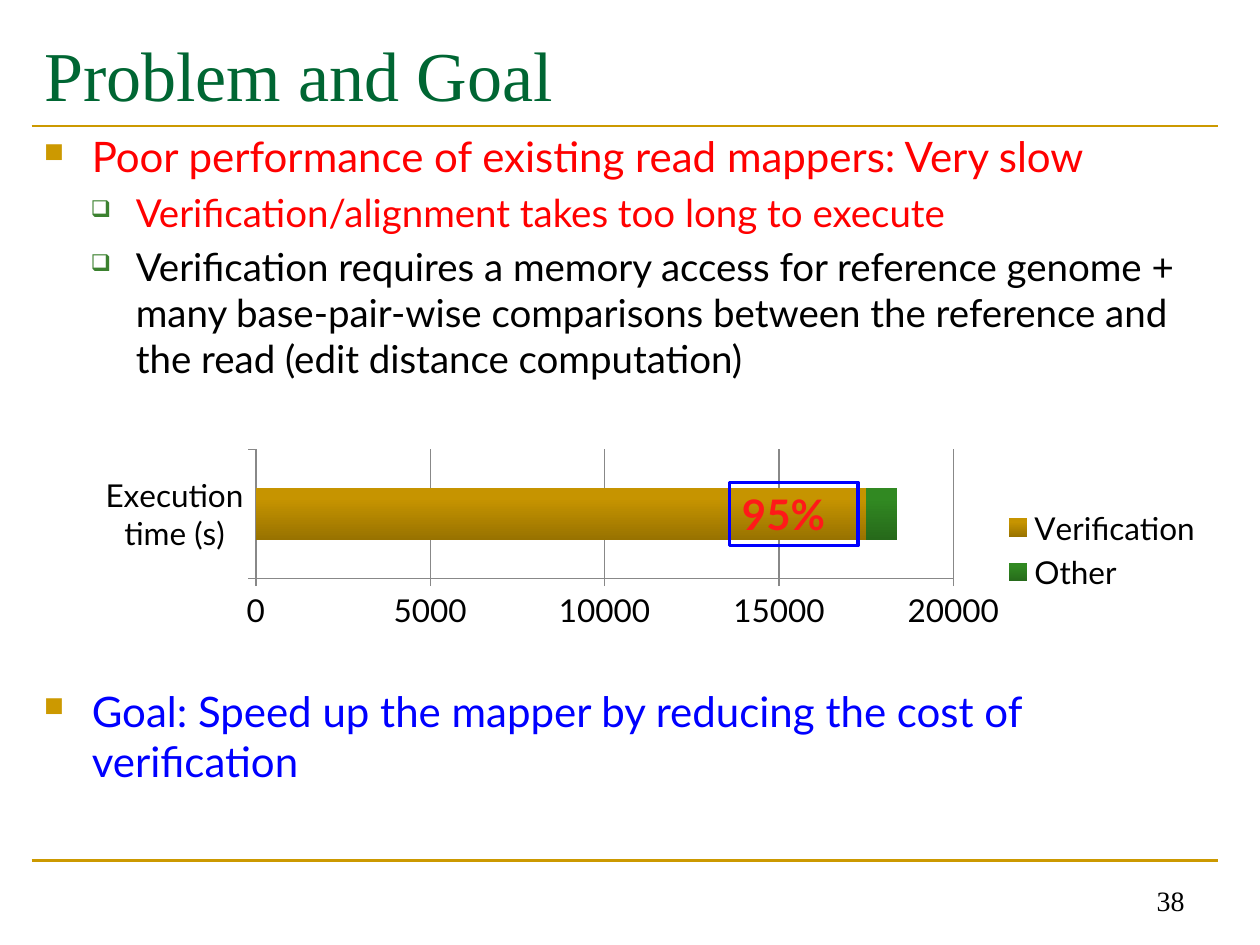
from lxml.etree import SubElement
from pptx import Presentation
from pptx.chart.data import CategoryChartData
from pptx.dml.color import RGBColor
from pptx.enum.chart import XL_CHART_TYPE, XL_LEGEND_POSITION, XL_TICK_MARK
from pptx.enum.shapes import MSO_CONNECTOR, MSO_SHAPE
from pptx.enum.text import MSO_ANCHOR, PP_ALIGN
from pptx.oxml import parse_xml
from pptx.oxml.ns import nsdecls, qn
from pptx.util import Inches, Pt

BODY, SERIF = "Lato", "Times New Roman"
GOLD, GREY, BLUE, RED, BLACK = "CC9900", "888888", "0000FF", "FF0000", "000000"
LEVELS = [
    {"size": 24, "left": 0.38, "hang": 0.38, "mark": "■", "tint": GOLD, "scale": 65},
    {"size": 22, "left": 0.73, "hang": 0.36, "mark": "❑", "tint": "3B812F", "scale": 60},
]
PLOT = {"x": 0.159, "y": 0.033, "w": 0.611, "h": 0.601}
SERIES = [
    ("Verification", 17500, ("987200", "C69400")),
    ("Other", 900, ("26691A", "318922")),
]


def paint(color, code):
    """Set a colour from a hex string."""
    color.rgb = RGBColor.from_string(code)


def style(target, **values):
    """Set each given attribute on the target."""
    for name, value in values.items():
        setattr(target, name, value)


def write(font, size, code, name=BODY, bold=False):
    """Format a font."""
    style(font, size=Pt(size), name=name, bold=bold)
    paint(font.color, code)


def stroke(line, code, width):
    """Format an outline."""
    paint(line.color, code)
    line.width = Pt(width)


def add_rule(slide, left, top, width):
    """Draw a horizontal gold rule."""
    rule = slide.shapes.add_connector(
        MSO_CONNECTOR.STRAIGHT, Inches(left), Inches(top), Inches(left + width), Inches(top))
    stroke(rule.line, GOLD, 1.5)
    SubElement(rule._element.spPr, qn("a:effectLst"))


def add_title(slide, text, box):
    """Place and format the title."""
    title = slide.shapes.title
    style(title, **dict(zip(("left", "top", "width", "height"), map(Inches, box))))
    title.text_frame.text = text
    title.text_frame.vertical_anchor = MSO_ANCHOR.MIDDLE
    para = title.text_frame.paragraphs[0]
    para.alignment = PP_ALIGN.LEFT
    write(para.runs[0].font, 40, "006633", SERIF)


def add_mark(para, level):
    """Give a paragraph its bullet and indent."""
    props = para._p.get_or_add_pPr()
    props.set("marL", str(Inches(level["left"])))
    props.set("indent", str(-Inches(level["hang"])))
    tint = SubElement(props, qn("a:buClr"))
    SubElement(tint, qn("a:srgbClr"), val=level["tint"])
    SubElement(props, qn("a:buSzPct"), val=str(level["scale"] * 1000))
    SubElement(props, qn("a:buChar"), char=level["mark"])


def add_points(slide, points, box):
    """Fill a box with bulleted (level, colour, text) points."""
    frame = slide.shapes.add_textbox(*map(Inches, box)).text_frame
    frame.word_wrap = True
    for index, (depth, code, text) in enumerate(points):
        para = frame.paragraphs[0] if index == 0 else frame.add_paragraph()
        level = LEVELS[depth]
        add_mark(para, level)
        para.level = depth
        if index:
            para.space_before = Pt(level["size"] * 0.2)
        run = para.add_run()
        run.text = text
        write(run.font, level["size"], code)


def set_plot(chart):
    """Fix the inner plot area."""
    parts = "".join(f'<c:{side}Mode val="edge"/>' for side in "xy")
    parts += "".join(f'<c:{key} val="{size}"/>' for key, size in PLOT.items())
    area = chart._chartSpace.chart.plotArea
    for old in area.findall(qn("c:layout")):
        area.remove(old)
    area.insert(0, parse_xml(
        f'<c:layout {nsdecls("c")}><c:manualLayout><c:layoutTarget val="inner"/>'
        f'{parts}</c:manualLayout></c:layout>'))


def add_times(slide, box):
    """Draw the stacked bar of execution time."""
    data = CategoryChartData()
    data.categories = ["Execution time (s)"]
    for name, value, _ in SERIES:
        data.add_series(name, [value])
    chart = slide.shapes.add_chart(
        XL_CHART_TYPE.BAR_STACKED, *map(Inches, box), data).chart
    write(chart.font, 18, BLACK)
    style(chart, has_title=False, has_legend=True)
    style(chart.legend, position=XL_LEGEND_POSITION.RIGHT, include_in_layout=False)
    write(chart.legend.font, 18, BLACK)
    plot = chart.plots[0]
    style(plot, gap_width=150, overlap=100, vary_by_categories=False)
    for series, (_, _, codes) in zip(plot.series, SERIES):
        fill = series.format.fill
        fill.gradient()
        fill.gradient_angle = 90
        for stop, code, place in zip(fill.gradient_stops, codes, (0, 0.8)):
            paint(stop.color, code)
            stop.position = place
    for axis in (chart.category_axis, chart.value_axis):
        style(axis, major_tick_mark=XL_TICK_MARK.OUTSIDE, minor_tick_mark=XL_TICK_MARK.NONE)
        write(axis.tick_labels.font, 18, BLACK)
        stroke(axis.format.line, GREY, 0.75)
    axis = chart.value_axis
    style(axis, minimum_scale=0, maximum_scale=20000, major_unit=5000, has_major_gridlines=True)
    stroke(axis.major_gridlines.format.line, GREY, 0.75)
    set_plot(chart)


def add_share(slide, text, box):
    """Frame the share label over the bar."""
    shape = slide.shapes.add_shape(MSO_SHAPE.RECTANGLE, *map(Inches, box))
    shape.shadow.inherit = False
    shape.fill.background()
    stroke(shape.line, BLUE, 2)
    frame = shape.text_frame
    frame.text = text
    frame.vertical_anchor = MSO_ANCHOR.TOP
    para = frame.paragraphs[0]
    para.alignment = PP_ALIGN.LEFT
    write(para.runs[0].font, 24, "FF1919", bold=True)


def add_number(slide, text, box):
    """Write the slide number."""
    frame = slide.shapes.add_textbox(*map(Inches, box)).text_frame
    style(frame, word_wrap=True, text=text, vertical_anchor=MSO_ANCHOR.BOTTOM)
    para = frame.paragraphs[0]
    para.alignment = PP_ALIGN.RIGHT
    write(para.runs[0].font, 16, BLACK, SERIF)


def main():
    """Build and save the slide."""
    deck = Presentation()
    style(deck, slide_width=Inches(10), slide_height=Inches(7.5))
    slide = deck.slides.add_slide(deck.slide_layouts[5])
    left, width = 0.25, 9.42
    for top in (1, 6.83):
        add_rule(slide, left, top, width)
    add_title(slide, "Problem and Goal", (left, 0.17, width, 0.83))
    add_points(slide, [
        (0, RED, "Poor performance of existing read mappers: Very slow"),
        (1, RED, "Verification/alignment takes too long to execute"),
        (1, BLACK, "Verification requires a memory access for reference genome + many "
                   "base-pair-wise comparisons between the reference and the read "
                   "(edit distance computation)"),
    ], (left, 0.99, width, 2.2))
    add_points(slide, [
        (0, BLUE, "Goal: Speed up the mapper by reducing the cost of verification"),
    ], (left, 5.39, width, 1))
    add_times(slide, (0.59, 3.51, 9.06, 1.71))
    add_share(slide, "95%", (5.79, 3.83, 1.02, 0.5))
    add_number(slide, "38", (7.17, 6.83, 2.33, 0.5))
    deck.save("out.pptx")


if __name__ == "__main__":
    main()
